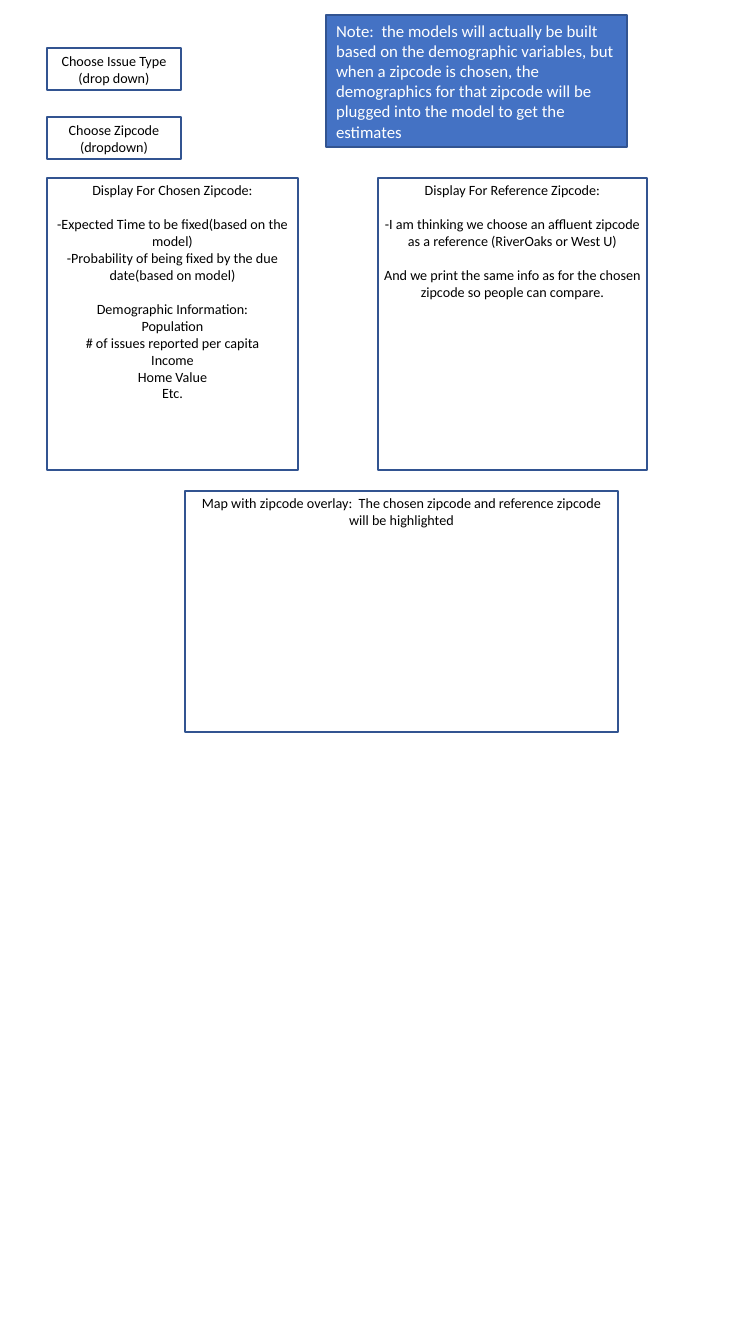
"""Build a wireframe slide for a zipcode issue dashboard."""
import pptx
import pptx.util
import pptx.dml.color
import pptx.enum.shapes
import pptx.enum.text

PIXEL = 914400 / 100.8
COLORS = {"panel": "FFFFFF", "note": "4472C4", "border": "325491",
          "ink": "000000", "note ink": "FFFFFF"}
ANCHOR = pptx.enum.text.MSO_ANCHOR
ALIGN = pptx.enum.text.PP_ALIGN
SECTION_GAP = 12.3


def px(pixels):
    return pptx.util.Emu(round(pixels * PIXEL))


def add_box(bounds, sections, anchor=ANCHOR.TOP, align=ALIGN.CENTER,
            fill="panel", ink="ink", size=10.1, insets=(6, 3)):
    box = slide.shapes.add_shape(
        pptx.enum.shapes.MSO_SHAPE.RECTANGLE, *[px(length) for length in bounds])
    box.shadow.inherit = False
    box.fill.solid()
    box.fill.fore_color.rgb = pptx.dml.color.RGBColor.from_string(COLORS[fill])
    box.line.color.rgb = pptx.dml.color.RGBColor.from_string(COLORS["border"])
    box.line.width = pptx.util.Pt(1)
    frame = box.text_frame
    frame.word_wrap = True
    frame.vertical_anchor = anchor
    frame.margin_left = frame.margin_right = px(insets[0])
    frame.margin_top = frame.margin_bottom = px(insets[1])
    paragraph = frame.paragraphs[0]
    for section_number, section in enumerate(sections):
        for line_number, line in enumerate(section):
            if section_number or line_number:
                paragraph = frame.add_paragraph()
            paragraph.alignment = align
            if section_number and not line_number:
                paragraph.space_before = pptx.util.Pt(SECTION_GAP)
            run = paragraph.add_run()
            run.text = line
            run.font.name = "Calibri"
            run.font.size = pptx.util.Pt(size)
            run.font.color.rgb = pptx.dml.color.RGBColor.from_string(COLORS[ink])


deck = pptx.Presentation()
deck.slide_width, deck.slide_height = px(756), px(1344)
slide = deck.slides.add_slide(deck.slide_layouts[6])

choices = [(117, "Choose Zipcode (dropdown)"), (48, "Choose Issue Type (drop down)")]
for top, choice in choices:
    add_box((47, top, 134, 42), [[choice]], anchor=ANCHOR.MIDDLE)

chosen_zipcode = [
    ["Display For Chosen Zipcode:"],
    ["-Expected Time to be fixed(based on the model)",
     "-Probability of being fixed by the due date(based on model)"],
    ["Demographic Information:", "Population", "# of issues reported per capita",
     "Income", "Home Value", "Etc."],
]
reference_zipcode = [
    ["Display For Reference Zipcode:"],
    ["-I am thinking we choose an affluent zipcode as a reference "
     "(RiverOaks or West U)"],
    ["And we print the same info as for the chosen zipcode so people can compare."],
]
zipcode_map = [["Map with zipcode overlay:  The chosen zipcode and reference zipcode "
                "will be highlighted"]]
add_box((47, 178, 251, 292), chosen_zipcode)
add_box((378, 178, 269, 292), reference_zipcode)
add_box((185, 491, 433, 241), zipcode_map)

model_note = [["Note:  the models will actually be built based on the demographic "
               "variables, but when a zipcode is chosen, the demographics for that "
               "zipcode will be plugged into the model to get the estimates"]]
add_box((326, 15, 301, 132), model_note, anchor=ANCHOR.MIDDLE, align=ALIGN.LEFT,
        fill="note", ink="note ink", size=12, insets=(10, 5))

deck.save("out.pptx")
